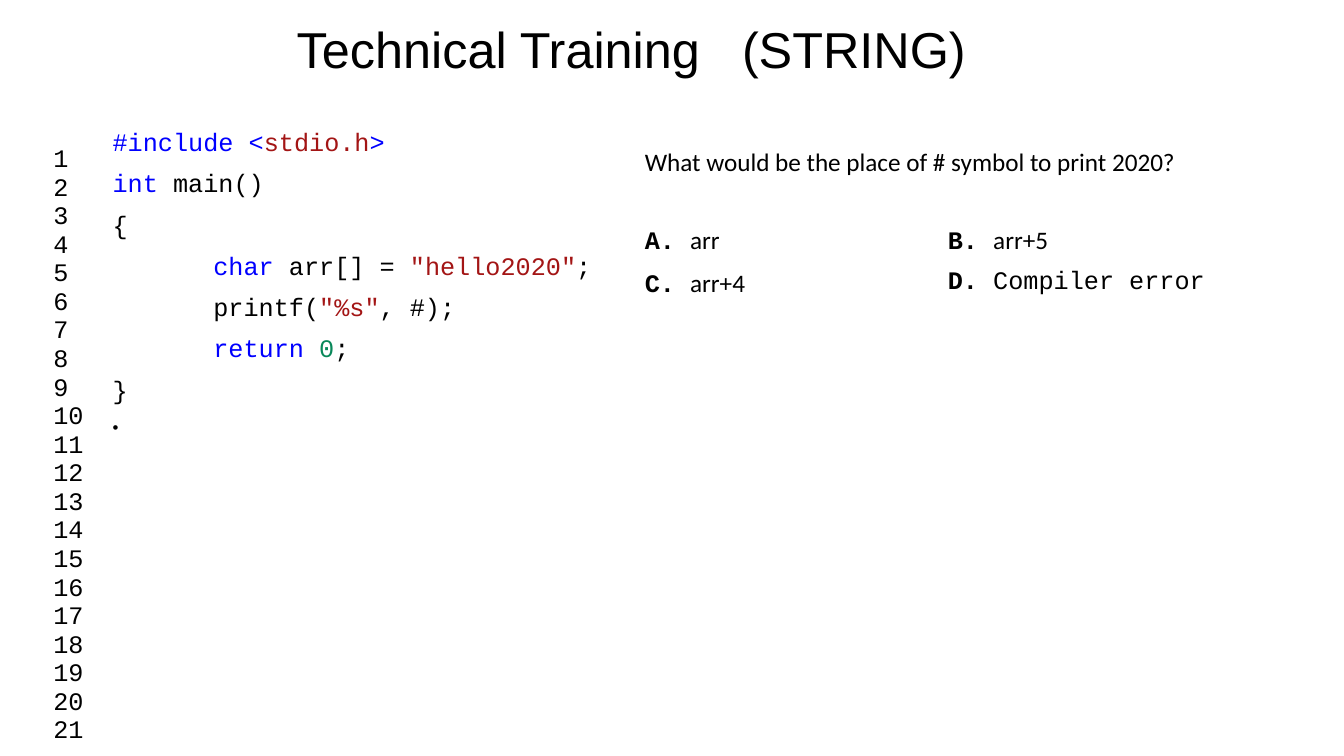
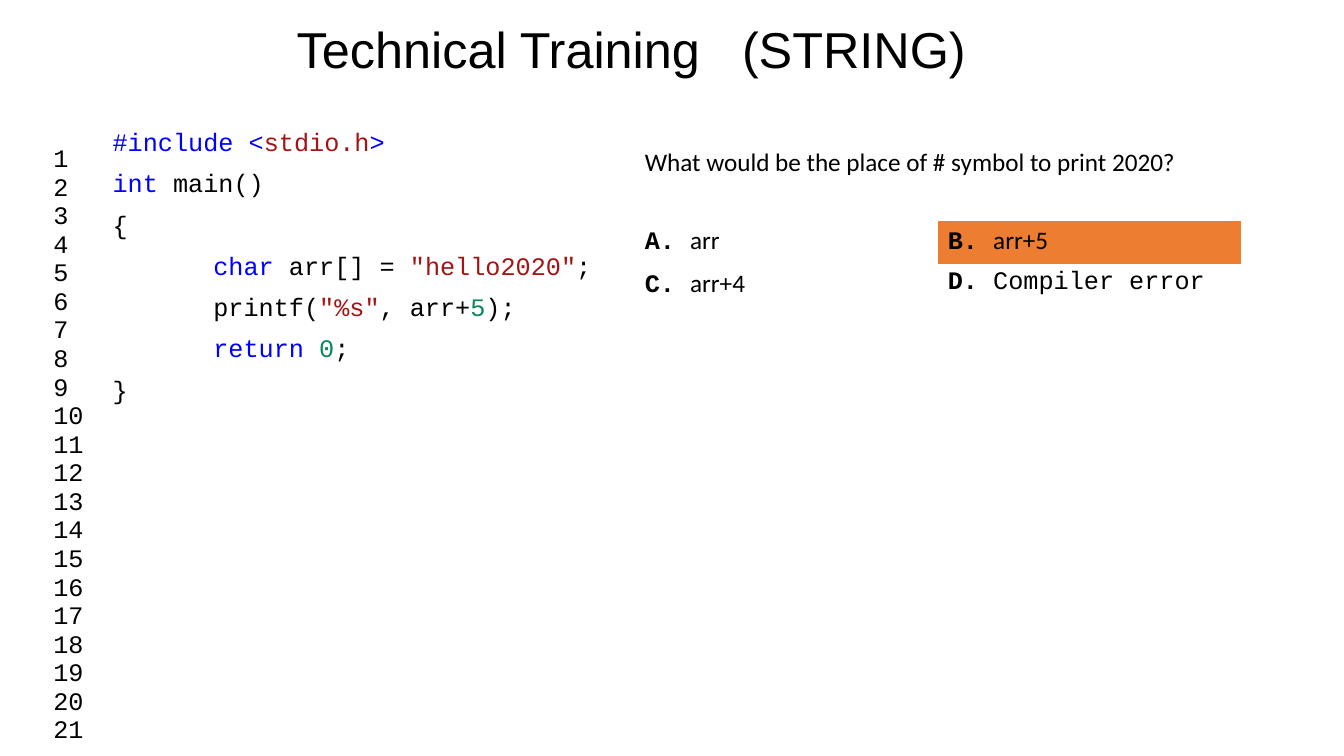
import lxml.etree
import pptx
import pptx.dml.color
import pptx.enum.text
import pptx.oxml.ns
import pptx.util
from pptx.util import Cm

BLACK, BLUE, RED, GREEN = "000000", "0000FF", "A31515", "09885A"
WHITE, HIGHLIGHT = "FFFFFF", "ED7D31"
TITLE_FONT, BODY_FONT, CODE_FONT = "Arial", "Calibri", "Courier New"
NO_GRID_STYLE = "{2D5ABB26-0587-4C30-8999-92F81FD0307C}"

QUESTION = "What would be the place of # symbol to print 2020?"
OPTIONS = [
    [("A. ", "arr", BODY_FONT), ("B. ", "arr+5", BODY_FONT)],
    [("C. ", "arr+4", BODY_FONT), ("D. ", "Compiler error", CODE_FONT)],
]
PLACEHOLDER = [(", #);", BLACK)]
SOLUTION = [(", arr+", BLACK), ("5", GREEN), (");", BLACK)]


def color(value):
    return pptx.dml.color.RGBColor.from_string(value)


def style(paragraph, name, size=18):
    paragraph.font.name = name
    paragraph.font.size = pptx.util.Pt(size)
    paragraph.font.color.rgb = color(BLACK)


def add_run(paragraph, text):
    run = paragraph.add_run()
    run.text = text
    return run


def add_text_frame(slide, left, top, width, height):
    frame = slide.shapes.add_textbox(left, top, width, height).text_frame
    frame.word_wrap = True
    return frame


def add_plain_table(slide, left, top, column_widths, row_heights):
    """Add a table without borders, bands or fills."""
    graphic_frame = slide.shapes.add_table(
        len(row_heights), len(column_widths), left, top,
        sum(column_widths), sum(row_heights))
    table = graphic_frame.table
    table.first_row = table.horz_banding = False
    for style_id in graphic_frame.element.iter(pptx.oxml.ns.qn("a:tableStyleId")):
        style_id.text = NO_GRID_STYLE
    for column, width in zip(table.columns, column_widths):
        column.width = width
    for row, height in zip(table.rows, row_heights):
        row.height = height
    for cell in table.iter_cells():
        cell.fill.background()
    return table


def add_title(slide, left, top, width, height):
    paragraph = add_text_frame(slide, left, top, width, height).paragraphs[0]
    paragraph.alignment = pptx.enum.text.PP_ALIGN.CENTER
    style(paragraph, TITLE_FONT, 36)
    add_run(paragraph, "Technical Training")
    gap = add_run(paragraph, " ")
    gap.font._element.set("spc", "2000")
    add_run(paragraph, "(STRING)")


def add_line_numbers(slide, left, top, width, height, count=21):
    cell = add_plain_table(slide, left, top, [width], [height]).cell(0, 0)
    cell.vertical_anchor = pptx.enum.text.MSO_ANCHOR.MIDDLE
    cell.text_frame.text = "\n".join(str(number + 1) for number in range(count))
    for paragraph in cell.text_frame.paragraphs:
        style(paragraph, CODE_FONT)


def code_lines(argument):
    return [
        [("#include <", BLUE), ("stdio.h", RED), (">", BLUE)],
        [("int", BLUE), (" main()", BLACK)],
        [("{", BLACK)],
        [("\tchar", BLUE), (" arr[] = ", BLACK), ('"hello2020"', RED), (";", BLACK)],
        [("\tprintf(", BLACK), ('"%s"', RED)] + argument,
        [("\treturn ", BLUE), ("0", GREEN), (";", BLACK)],
        [("}", BLACK)],
    ]


def add_tab_stop(paragraph, position):
    properties = paragraph._p.get_or_add_pPr()
    tabs = lxml.etree.SubElement(properties, pptx.oxml.ns.qn("a:tabLst"))
    lxml.etree.SubElement(tabs, pptx.oxml.ns.qn("a:tab"),
                          pos=str(int(position)), algn="l")


def add_code(slide, left, top, width, height, lines, end_bullet):
    frame = add_text_frame(slide, left, top, width, height)
    if end_bullet:
        lines = lines + [[("•", BLACK)]]
    for index, line in enumerate(lines):
        paragraph = frame.add_paragraph() if index else frame.paragraphs[0]
        paragraph.line_spacing = 0.9
        if index:
            paragraph.space_before = pptx.util.Pt(10)
        add_tab_stop(paragraph, Cm(2.54))
        style(paragraph, CODE_FONT)
        for text, run_color in line:
            add_run(paragraph, text).font.color.rgb = color(run_color)
    if end_bullet:
        style(paragraph, TITLE_FONT, 12)


def add_question(slide, left, top, width, height, answer):
    question_height = height * 0.48
    option_height = (height - question_height) / len(OPTIONS)
    table = add_plain_table(
        slide, left, top, [int(width / 2)] * 2,
        [int(question_height)] + [int(option_height)] * len(OPTIONS))
    heading = table.cell(0, 0)
    heading.merge(table.cell(0, 1))
    heading.text_frame.text = QUESTION
    style(heading.text_frame.paragraphs[0], BODY_FONT)
    for row, options in enumerate(OPTIONS, 1):
        for column, (label, text, font_name) in enumerate(options):
            cell = table.cell(row, column)
            paragraph = cell.text_frame.paragraphs[0]
            style(paragraph, font_name)
            label_run = add_run(paragraph, label)
            label_run.font.name = CODE_FONT
            label_run.font.bold = True
            add_run(paragraph, text)
            if label == answer:
                cell.fill.solid()
                cell.fill.fore_color.rgb = color(HIGHLIGHT)


def add_quiz_slide(presentation, argument, answer=None):
    """Add the code and its question; a given answer is highlighted."""
    slide = presentation.slides.add_slide(presentation.slide_layouts[6])
    slide.background.fill.solid()
    slide.background.fill.fore_color.rgb = color(WHITE)
    add_line_numbers(slide, Cm(1.09), Cm(3.12), Cm(1.5), Cm(16.26))
    add_code(slide, Cm(2.59), Cm(3.15), Cm(13.74), Cm(7.95 if answer else 8.97),
             code_lines(argument), end_bullet=answer is None)
    add_question(slide, Cm(16), Cm(3.58), Cm(15.28), Cm(4.14), answer)
    add_title(slide, Cm(5.82), Cm(0.33), Cm(20.19), Cm(1.78))


def main():
    presentation = pptx.Presentation()
    presentation.slide_width, presentation.slide_height = Cm(33.88), Cm(19.05)
    add_quiz_slide(presentation, PLACEHOLDER)
    add_quiz_slide(presentation, SOLUTION, answer="B. ")
    presentation.save("out.pptx")


if __name__ == "__main__":
    main()
